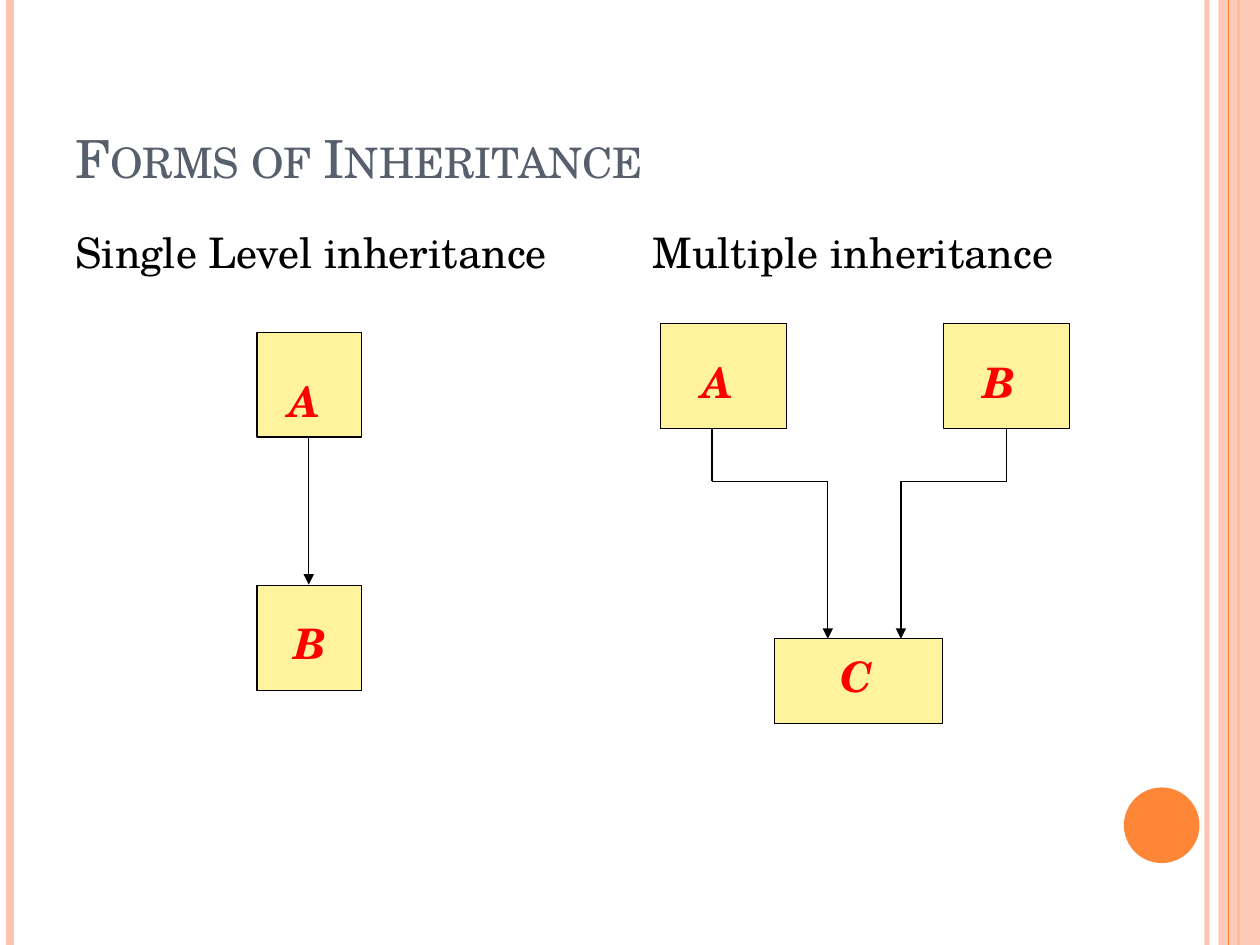
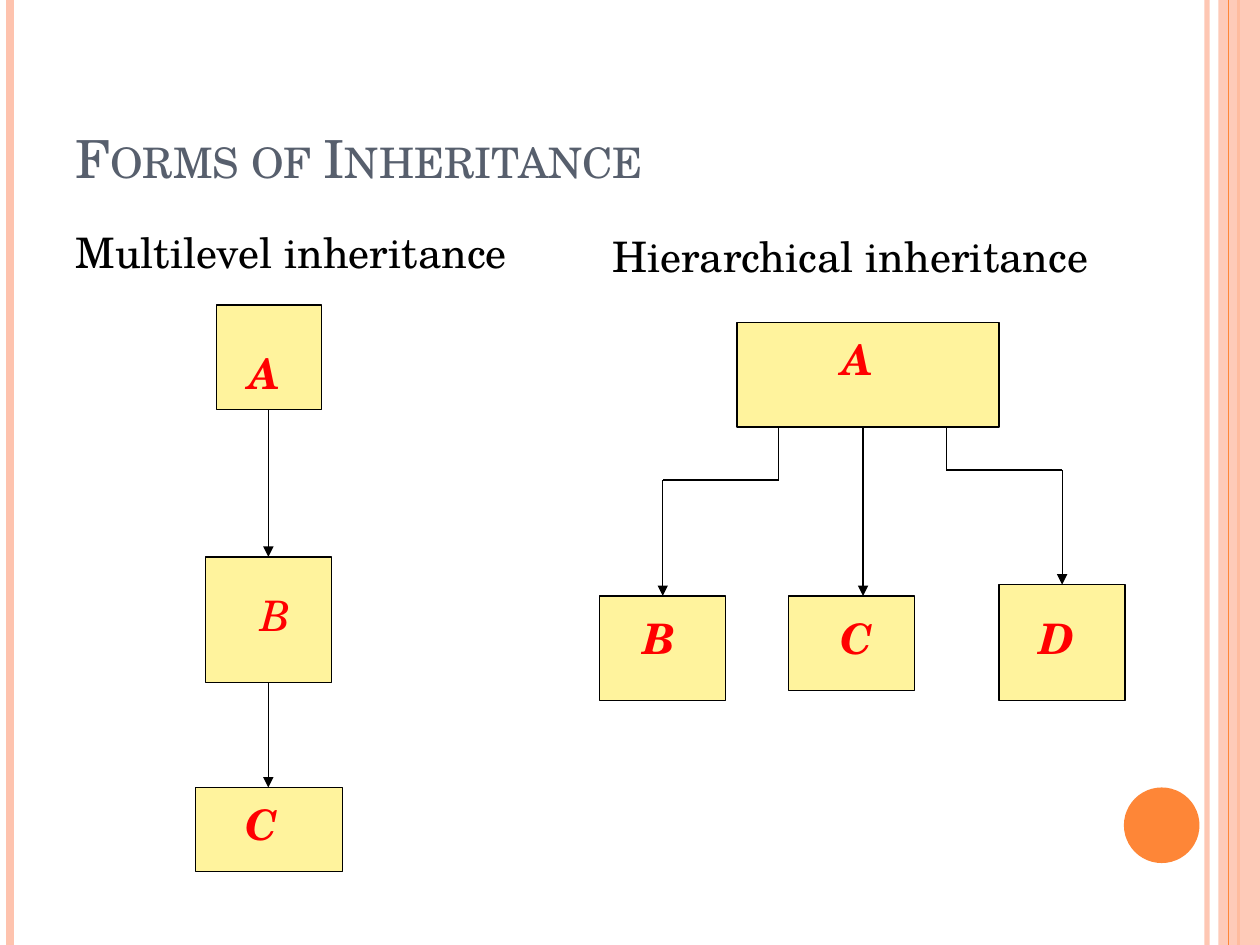
from pptx import Presentation
from pptx.dml.color import RGBColor
from pptx.enum.shapes import MSO_CONNECTOR, MSO_SHAPE
from pptx.enum.text import MSO_ANCHOR
from pptx.oxml.ns import qn
from pptx.util import Inches, Pt
from lxml import etree

STRAIGHT = MSO_CONNECTOR.STRAIGHT
RECT, OVAL = MSO_SHAPE.RECTANGLE, MSO_SHAPE.OVAL
TOP, BOTTOM = MSO_ANCHOR.TOP, MSO_ANCHOR.BOTTOM

# Colours and type sizes
theme = {
    "font": "TeX Gyre Schola",
    "pink": RGBColor.from_string("FEC3AE"),
    "orange": RGBColor.from_string("FE8637"),
    "slate": RGBColor.from_string("575F6D"),
    "yellow": RGBColor.from_string("FFF39D"),
    "red": RGBColor.from_string("FF0000"),
    "black": RGBColor.from_string("000000"),
    "title": Pt(30),
    "text": Pt(24),
    "thin": 0.75,
}

# Text styles: font values, colour name, anchor, wrap
styles = {
    "title": ({"size": theme["title"]}, "slate", BOTTOM, True),
    "body": ({"size": theme["text"]}, "black", TOP, True),
    "head": ({"size": theme["text"]}, "black", TOP, False),
    "name": ({"size": theme["text"], "bold": True, "italic": True}, "red", TOP, False),
    "light": ({"size": theme["text"], "italic": True}, "red", TOP, False),
}

# Each slide: boxes, line paths (arrow at the last point), texts
pages = [
    {
        "boxes": [
            (2.04, 2.64, 0.83, 0.83), (2.04, 4.65, 0.83, 0.83),
            (5.24, 2.57, 1, 0.83), (7.49, 2.57, 1, 0.83), (6.15, 5.07, 1.33, 0.67),
        ],
        "paths": [
            [(2.45, 3.47), (2.45, 4.64)],
            [(5.65, 3.4), (5.65, 3.82), (6.57, 3.82), (6.57, 5.07)],
            [(7.99, 3.4), (7.99, 3.82), (7.15, 3.82), (7.15, 5.07)],
        ],
        "texts": [
            ("Single Level inheritance", "body", 0.5, 1.75, 8.17),
            ("Multiple inheritance", "head", 5.08, 1.75, 3.4),
            ("A", "name", 2.19, 2.93, 0.45), ("B", "name", 2.24, 4.85, 0.46),
            ("A", "name", 5.47, 2.78, 0.45), ("B", "name", 7.71, 2.78, 0.46),
            ("C", "name", 6.57, 5.11, 0.46),
        ],
    },
    {
        "boxes": [
            (1.72, 2.42, 0.83, 0.83), (1.63, 4.42, 1, 1), (1.55, 6.25, 1.17, 0.67),
            (5.85, 2.56, 2.08, 0.83), (4.76, 4.73, 1, 0.83),
            (6.26, 4.73, 1, 0.75), (7.93, 4.64, 1, 0.92),
        ],
        "paths": [
            [(2.13, 3.25), (2.13, 4.42)],
            [(2.13, 5.42), (2.13, 6.25)],
            [(6.18, 3.39), (6.18, 3.81), (5.26, 3.81), (5.26, 4.73)],
            [(6.85, 3.39), (6.85, 4.73)],
            [(7.51, 3.39), (7.51, 3.73), (8.43, 3.73), (8.43, 4.64)],
        ],
        "texts": [
            ("Multilevel inheritance", "body", 0.5, 1.75, 8.17),
            ("Hierarchical inheritance", "head", 4.76, 1.78, 4.01),
            ("A", "name", 1.87, 2.71, 0.45), ("B", "light", 1.97, 4.63, 0.44),
            ("C", "name", 1.85, 6.29, 0.46), ("A", "name", 6.58, 2.6, 0.45),
            ("B", "name", 5.01, 4.81, 0.5), ("C", "name", 6.57, 4.81, 0.46),
            ("D", "name", 8.15, 4.81, 0.48),
        ],
    },
]


def add_box(slide, kind, at, fill, edge=None, alpha=100):
    box = slide.shapes.add_shape(kind, *map(Inches, at))
    box.shadow.inherit = False
    box.fill.solid()
    box.fill.fore_color.rgb = theme[fill]
    if alpha < 100:
        tint = box.fill._xPr.find(f"{qn('a:solidFill')}/{qn('a:srgbClr')}")
        etree.SubElement(tint, qn("a:alpha"), val=str(alpha * 1000))
    if edge:
        box.line.color.rgb = theme[edge]
        box.line.width = Pt(theme["thin"])
    else:
        box.line.fill.background()


def add_line(slide, start, end, tint, width, arrow=False, alpha=100):
    link = slide.shapes.add_connector(STRAIGHT, *map(Inches, (*start, *end)))
    link.line.color.rgb = theme[tint]
    link.line.width = Pt(width)
    props = link._element.spPr
    if alpha < 100:
        etree.SubElement(next(props.iter(qn("a:srgbClr"))), qn("a:alpha"), val=str(alpha * 1000))
    if arrow:
        etree.SubElement(props.find(qn("a:ln")), qn("a:tailEnd"), type="triangle")
    etree.SubElement(props, qn("a:effectLst"))


deck = Presentation()
deck.slide_width, deck.slide_height = Inches(10), Inches(7.5)

for page in pages:
    slide = deck.slides.add_slide(deck.slide_layouts[6])

    # Side bands and disc
    for x, tint, width, alpha in [
        (9.58, "pink", 3, 93), (0.08, "pink", 4.5, 100), (9.83, "orange", 1.5, 100),
    ]:
        add_line(slide, (x, 0), (x, 7.5), tint, width, alpha=alpha)
    add_box(slide, RECT, (9.67, 0, 0.33, 7.5), "pink", alpha=87)
    add_line(slide, (9.75, 0), (9.75, 7.5), "orange", theme["thin"])
    add_box(slide, OVAL, (8.92, 6.25, 0.6, 0.6), "orange")

    # Class boxes
    for at in page["boxes"]:
        add_box(slide, RECT, at, "yellow", "black")

    # Inheritance arrows
    for path in page["paths"]:
        for start, end in zip(path, path[1:]):
            add_line(slide, start, end, "black", theme["thin"], arrow=end == path[-1])

    # Title, headings and class names
    title = ("Forms of Inheritance", "title", 0.5, 0.3, 8.17)
    for words, style, left, top, wide in [title, *page["texts"]]:
        look, tint, anchor, wrap = styles[style]
        tall = 1.25 if style == "title" else 0.5
        frame = slide.shapes.add_textbox(*map(Inches, (left, top, wide, tall))).text_frame
        frame.word_wrap = wrap
        frame.vertical_anchor = anchor
        run = frame.paragraphs[0].add_run()
        run.text = words
        for key, value in {"name": theme["font"], **look}.items():
            setattr(run.font, key, value)
        run.font.color.rgb = theme[tint]
        if style == "title":
            run._r.get_or_add_rPr().set("cap", "small")

deck.save("out.pptx")
